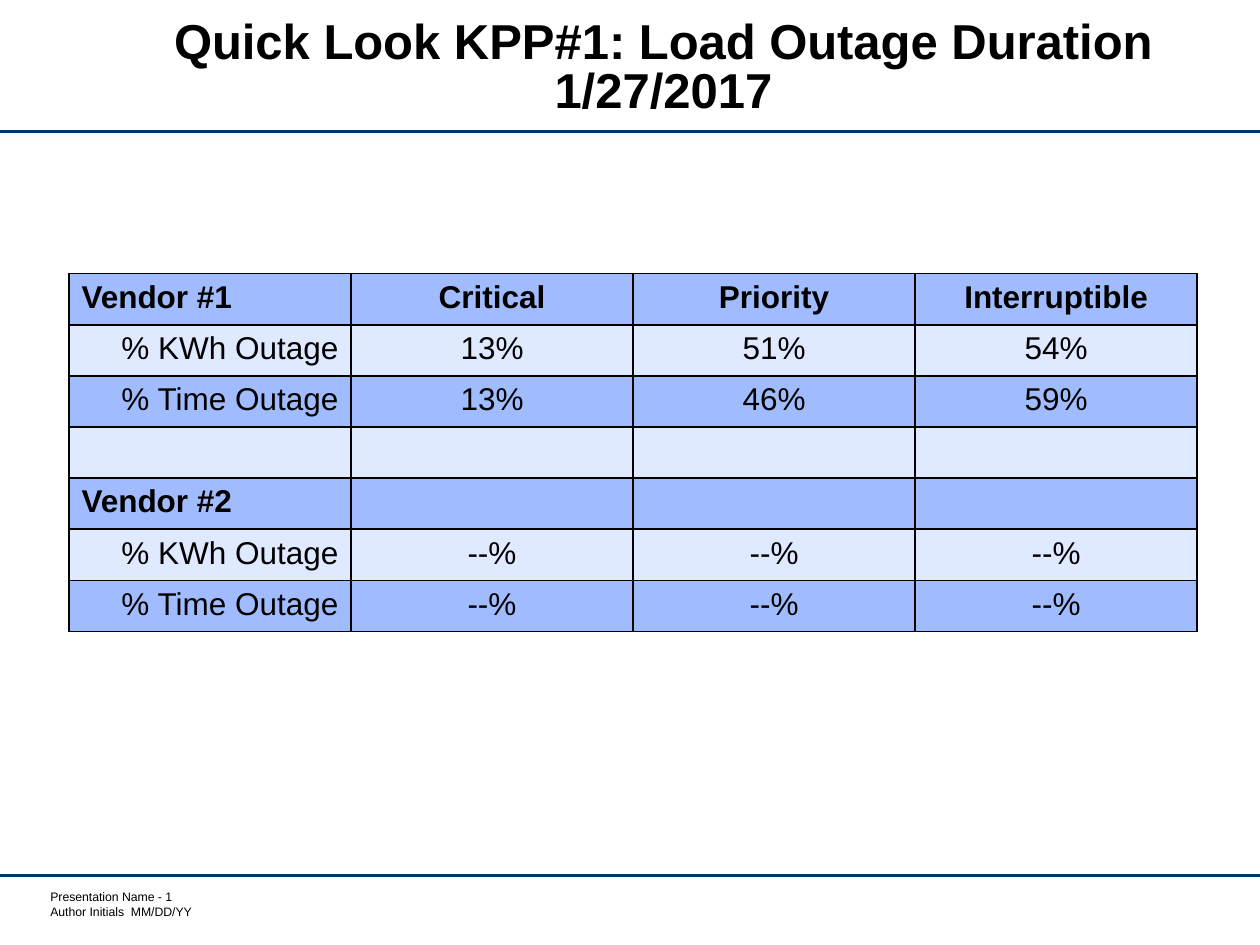
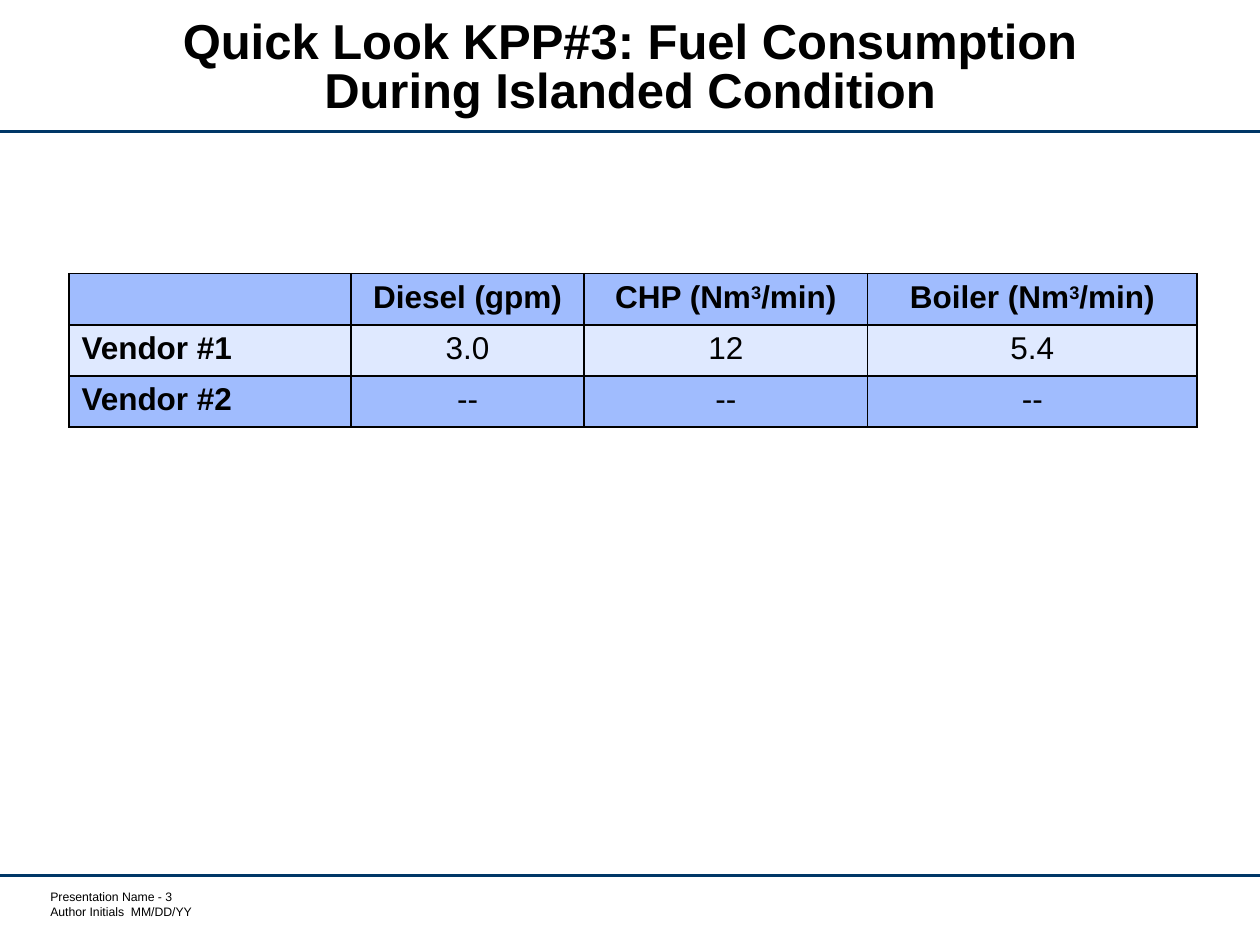
from dataclasses import dataclass

from lxml import etree
from pptx import Presentation
from pptx.dml.color import RGBColor
from pptx.enum.shapes import MSO_CONNECTOR
from pptx.enum.text import MSO_ANCHOR, PP_ALIGN
from pptx.oxml.ns import qn
from pptx.util import Pt

LEFT, MID, RIGHT = PP_ALIGN.LEFT, PP_ALIGN.CENTER, PP_ALIGN.RIGHT
CENTRE, TOP = MSO_ANCHOR.MIDDLE, MSO_ANCHOR.TOP
STRAIGHT = MSO_CONNECTOR.STRAIGHT

WIDE, HIGH = 720, 540
INK, NAVY = "000000", "003767"
BANDS = ("A0BCFE", "DFE9FF")
RULES = (75, 500.4)
ROW = 29.2


@dataclass
class Page:
    num: int
    title: str
    span: float
    cols: list[float]
    rows: list[list[str]]


PAGES = [
    Page(1, "Quick Look KPP#1: Load Outage Duration\v1/27/2017", 609.8,
         [161.2] * 4,
         [["Vendor #1", "Critical", "Priority", "Interruptible"],
          ["% KWh Outage", "13%", "51%", "54%"],
          ["% Time Outage", "13%", "46%", "59%"],
          [""] * 4,
          ["Vendor #2", "", "", ""],
          ["% KWh Outage"] + ["--%"] * 3,
          ["% Time Outage"] + ["--%"] * 3]),
    Page(3, "Quick Look KPP#3: Fuel Consumption During Islanded Condition", 571.7,
         [161.2, 133.2, 162, 188.3],
         [["", "Diesel (gpm)", "CHP (Nm^3^/min)", "Boiler (Nm^3^/min)"],
          ["Vendor #1", "3.0", "12", "5.4"],
          ["Vendor #2"] + ["--"] * 3]),
]


def tint(code: str) -> RGBColor:
    return RGBColor.from_string(code)


def apply(item, form: dict) -> None:
    for key, val in form.items():
        setattr(item, key, val)


def style(run, size: float, bold: bool) -> None:
    apply(run.font, {"name": "Arial", "size": Pt(size), "bold": bold})
    run.font.color.rgb = tint(INK)


def rule(slide, y: float) -> None:
    line = slide.shapes.add_connector(STRAIGHT, 0, Pt(y), Pt(WIDE), Pt(y))
    line.line.width = Pt(1.75)
    line.line.color.rgb = tint(NAVY)
    etree.SubElement(line._element.spPr, qn("a:effectLst"))


def write(slide, text: str, box: tuple, size: float, bold: bool,
          frame: dict, para: dict) -> None:
    body = slide.shapes.add_textbox(*map(Pt, box)).text_frame
    apply(body, frame)
    body.text = text
    for line in body.paragraphs:
        apply(line, para)
        for run in line.runs:
            style(run, size, bold)


def edge(cell) -> None:
    props = cell._tc.get_or_add_tcPr()
    for side in ("a:lnL", "a:lnR", "a:lnT", "a:lnB"):
        line = etree.SubElement(props, qn(side), w=str(Pt(1)))
        fill = etree.SubElement(line, qn("a:solidFill"))
        etree.SubElement(fill, qn("a:srgbClr"), val=INK)


def fill(cell, text: str, row: int, col: int) -> None:
    edge(cell)
    cell.fill.solid()
    cell.fill.fore_color.rgb = tint(BANDS[row % 2])
    line = cell.text_frame.paragraphs[0]
    label = text.startswith("Vendor")
    line.alignment = MID if col else LEFT if label else RIGHT
    if not text:
        return
    for part, piece in enumerate(text.split("^")):
        run = line.add_run()
        run.text = piece
        style(run, 18, row == 0 or label)
        if part % 2:
            run._r.get_or_add_rPr().set("baseline", "30000")


def grid(slide, page: Page) -> None:
    count = len(page.rows)
    table = slide.shapes.add_table(count, len(page.cols), Pt(39.4), Pt(156.4),
                                   Pt(sum(page.cols)), Pt(ROW * count)).table
    apply(table, {"first_row": False, "horz_banding": False})
    for col, width in zip(table.columns, page.cols):
        col.width = Pt(width)
    for row, texts in enumerate(page.rows):
        table.rows[row].height = Pt(ROW)
        for col, text in enumerate(texts):
            fill(table.cell(row, col), text, row, col)


def draw(deck, page: Page) -> None:
    slide = deck.slides.add_slide(deck.slide_layouts[6])
    for y in RULES:
        rule(slide, y)
    write(slide, f"Presentation Name - {page.num}\nAuthor Initials  MM/DD/YY",
          (25.2, 508.3, 86, 17.3), 7, False,
          {"word_wrap": False, "vertical_anchor": TOP, "margin_left": Pt(3.6),
           "margin_right": 0, "margin_top": 0, "margin_bottom": 0},
          {"alignment": LEFT})
    write(slide, page.title, (74.2, 7.9, page.span, 64), 28, True,
          {"word_wrap": True, "vertical_anchor": CENTRE},
          {"alignment": MID, "line_spacing": Pt(28)})
    grid(slide, page)


deck = Presentation()
apply(deck, {"slide_width": Pt(WIDE), "slide_height": Pt(HIGH)})
for page in PAGES:
    draw(deck, page)
deck.save("out.pptx")
